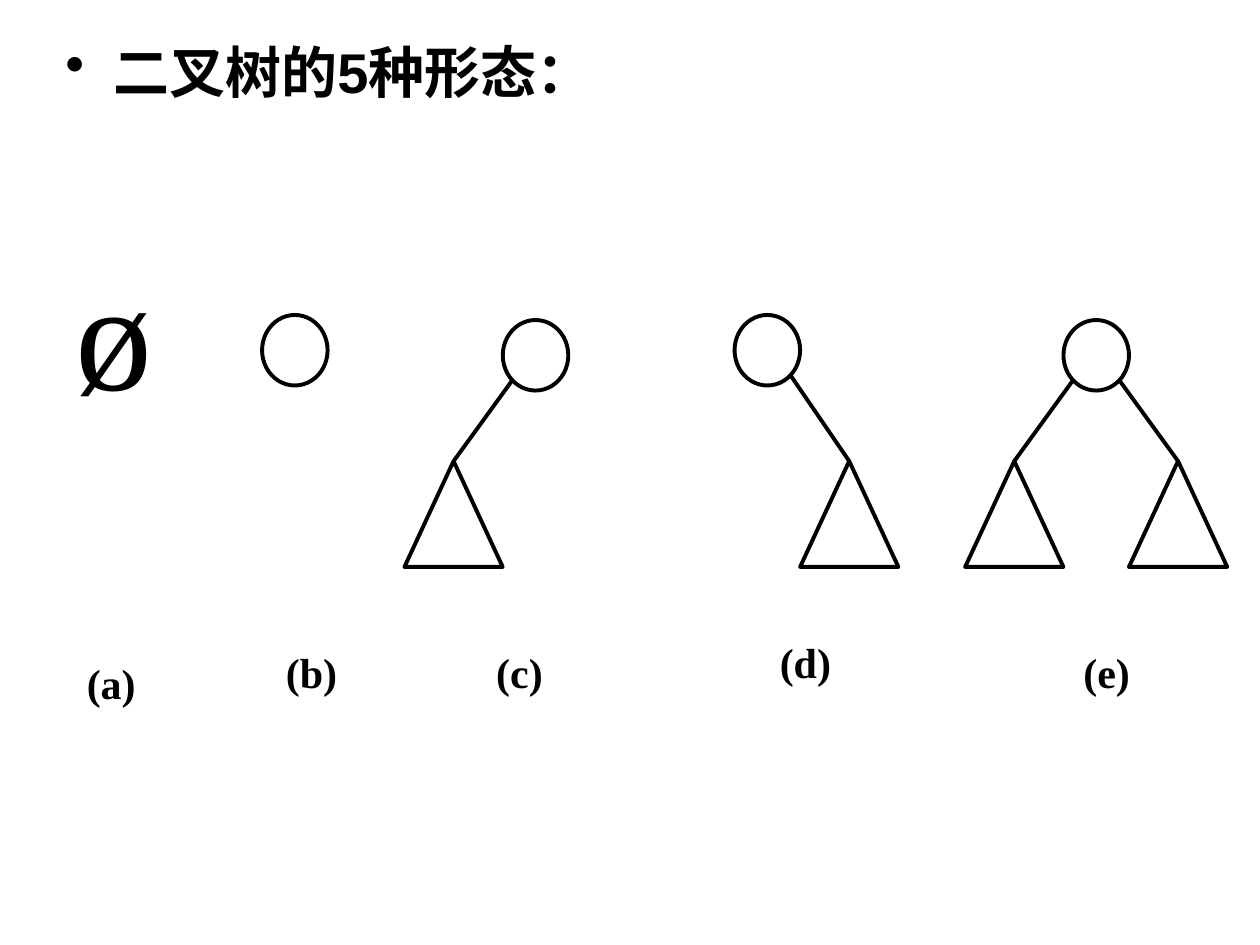
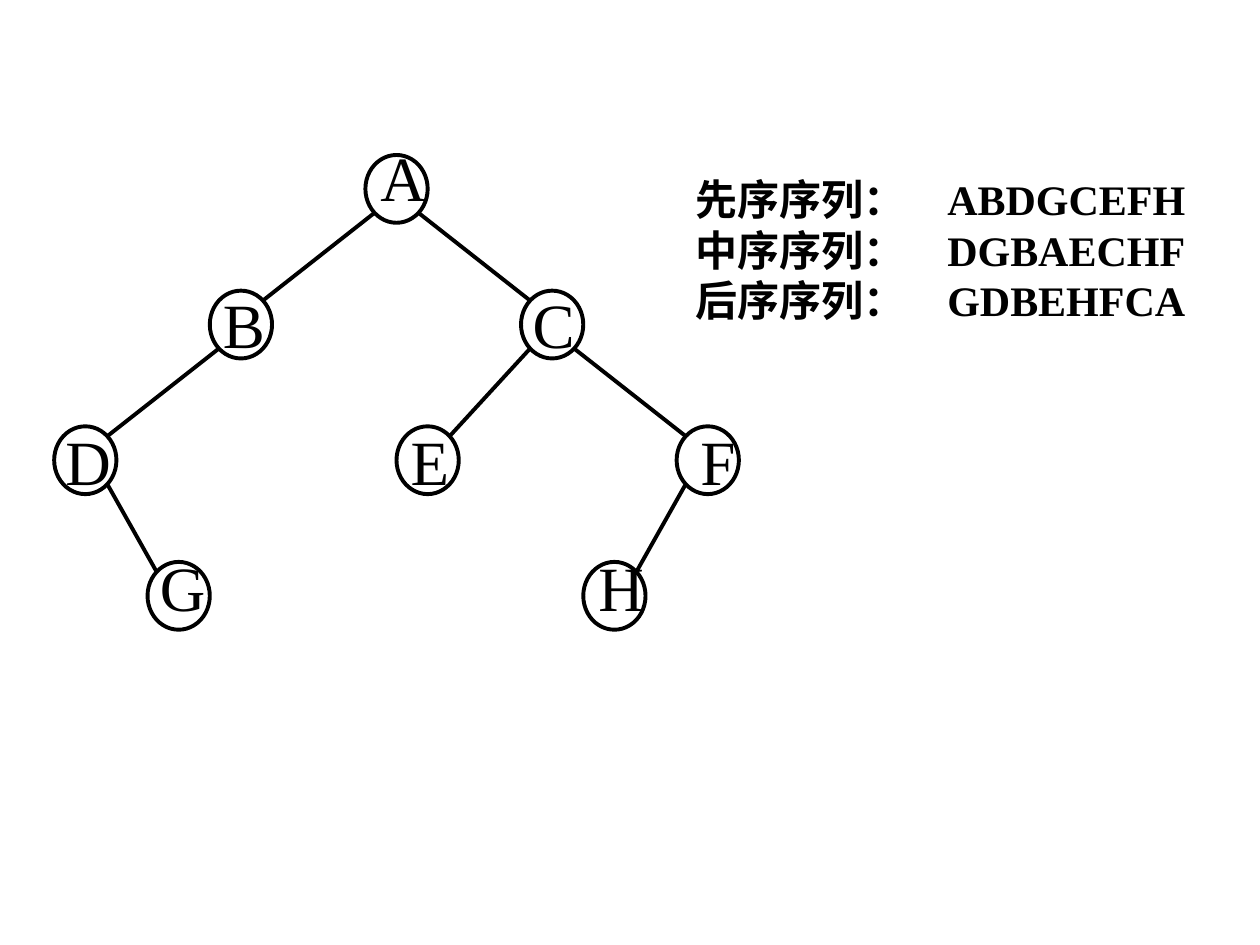
from math import sqrt

from lxml import etree
from pptx import Presentation
from pptx.dml.color import RGBColor
from pptx.enum.shapes import MSO_CONNECTOR, MSO_SHAPE
from pptx.oxml.ns import qn
from pptx.util import Inches, Pt

OVAL, TRIANGLE = MSO_SHAPE.OVAL, MSO_SHAPE.ISOSCELES_TRIANGLE
STRAIGHT = MSO_CONNECTOR.STRAIGHT
BLANK_LAYOUT = 6

COLORS = {"ink": "000000"}
LINE_WIDTH = Pt(2.25)
SERIF, SANS = "Times New Roman", "Arial"
FONTS = {
    "heading": {"name": SANS, "size": Pt(32), "bold": True},
    "empty tree": {"name": SERIF, "size": Pt(88), "bold": False},
    "label": {"name": SERIF, "size": Pt(24), "bold": True},
    "node": {"name": SERIF, "size": Pt(36), "bold": False},
}

# Slide 1: the five forms of a binary tree, in inches
HEADING = "二叉树的5种形态："
EMPTY_TREE = "ø"
LABELS = [  # text, left, top, width
    ("(a)", 0.59, 5.17, 0.59),
    ("(b)", 2.17, 5.08, 0.61),
    ("(c)", 3.84, 5.08, 0.57),
    ("(d)", 6.09, 5.00, 0.61),
    ("(e)", 8.50, 5.08, 0.57),
]
LEFT, RIGHT = -1, 1
ROOTS = [  # left, top, sides that carry a subtree
    (2.08, 2.50, ()),
    (3.99, 2.54, (LEFT,)),
    (5.83, 2.50, (RIGHT,)),
    (8.44, 2.54, (LEFT, RIGHT)),
]
ROOT_WIDTH, ROOT_HEIGHT = 0.52, 0.56
SUBTREE_WIDTH, SUBTREE_HEIGHT, SUBTREE_TOP = 0.78, 0.84, 3.66
SUBTREE_SHIFT = 0.65

# Slide 2: a tree on a grid, with its three traversals
TREE_LEFT, TREE_TOP = 0.43, 1.23
COLUMN, ROW = 4.94 / 20, 3.23 / 3
NODE_WIDTH, NODE_HEIGHT = 2 * COLUMN, ROW / 2
NODES = {  # letter: (column, row)
    "A": (10, 0),
    "B": (5, 1), "C": (15, 1),
    "D": (0, 2), "E": (11, 2), "F": (20, 2),
    "G": (3, 3), "H": (17, 3),
}
EDGES = ["AB", "AC", "BD", "CE", "CF", "DG", "FH"]
LETTER_ROWS = [  # letters, box, tab stops
    ("A", (2.92, 1.17, 1.35, 0.67), ()),
    ("B\tC", (1.67, 2.33, 4.84, 0.67), (2.46,)),
    ("D\tE\tF", (0.42, 3.42, 6.58, 0.67), (2.74, 5.04)),
    ("G\tH", (1.17, 4.42, 5.04, 0.67), (3.48,)),
]
TRAVERSALS = [
    ("先序序列：", "ABDGCEFH"),
    ("中序序列：", "DGBAECHF"),
    ("后序序列：", "GDBEHFCA"),
]


def ink():
    return RGBColor.from_string(COLORS["ink"])


def inches(values):
    return [Inches(value) for value in values]


def set_tab_stops(paragraph, stops):
    tab_list = etree.SubElement(paragraph._p.get_or_add_pPr(), qn("a:tabLst"))
    for stop in stops:
        etree.SubElement(tab_list, qn("a:tab"), pos=str(Inches(stop)), algn="l")


def set_bullet(paragraph, indent):
    properties = paragraph._p.get_or_add_pPr()
    properties.set("marL", str(Inches(indent)))
    properties.set("indent", str(-Inches(indent)))
    etree.SubElement(properties, qn("a:buChar"), char="•")


def add_text(slide, lines, box, font, stops=(), wrap=True, spacing=1.0):
    """Add a text box with one paragraph a line; return its paragraphs."""
    frame = slide.shapes.add_textbox(*inches(box)).text_frame
    frame.word_wrap = wrap
    frame.text = "\n".join(lines)
    for paragraph in frame.paragraphs:
        paragraph.line_spacing = spacing
        if stops:
            set_tab_stops(paragraph, stops)
        for run in paragraph.runs:
            for attribute, value in FONTS[font].items():
                setattr(run.font, attribute, value)
            run.font.color.rgb = ink()
    return frame.paragraphs


def set_outline(shape):
    shape.line.color.rgb = ink()
    shape.line.width = LINE_WIDTH


def add_outlined(slide, kind, box):
    shape = slide.shapes.add_shape(kind, *inches(box))
    shape.shadow.inherit = False
    shape.fill.background()
    set_outline(shape)
    return shape


def add_line(slide, start, end):
    line = slide.shapes.add_connector(STRAIGHT, *inches(start + end))
    set_outline(line)
    etree.SubElement(line._element.spPr, qn("a:effectLst"))
    return line


def rim_point(box, across, down):
    """Return the diagonal point of an ellipse; across and down are -1 or 1."""
    left, top, width, height = box
    return (left + width / 2 * (1 + across / sqrt(2)),
            top + height / 2 * (1 + down / sqrt(2)))


def node_box(letter):
    column, row = NODES[letter]
    return (TREE_LEFT + column * COLUMN, TREE_TOP + row * ROW,
            NODE_WIDTH, NODE_HEIGHT)


def build_forms(slide):
    heading = add_text(slide, [HEADING], (0.42, 0.25, 4.67, 0.67), "heading")[0]
    heading.space_before = Pt(8)
    set_bullet(heading, 0.38)
    add_text(slide, [EMPTY_TREE], (0.5, 1.92, 1.84, 1.39), "empty tree",
             spacing=0.96)
    for left, top, sides in ROOTS:
        root = (left, top, ROOT_WIDTH, ROOT_HEIGHT)
        add_outlined(slide, OVAL, root)
        for side in sides:
            apex = left + ROOT_WIDTH / 2 + side * SUBTREE_SHIFT
            subtree = add_outlined(
                slide, TRIANGLE, (apex - SUBTREE_WIDTH / 2, SUBTREE_TOP,
                                  SUBTREE_WIDTH, SUBTREE_HEIGHT))
            branch = add_line(slide, rim_point(root, side, 1), (apex, SUBTREE_TOP))
            branch.end_connect(subtree, 0)
    for text, left, top, width in LABELS:
        add_text(slide, [text], (left, top, width, 0.5), "label", wrap=False)


def build_traversals(slide):
    for letters, box, stops in LETTER_ROWS:
        add_text(slide, [letters], box, "node", stops, spacing=0.8)
    for letter in NODES:
        add_outlined(slide, OVAL, node_box(letter))
    for parent, child in EDGES:
        side = RIGHT if NODES[child][0] > NODES[parent][0] else LEFT
        add_line(slide, rim_point(node_box(parent), side, 1),
                 rim_point(node_box(child), -side, -1))
    add_text(slide, ["\t".join(pair) for pair in TRAVERSALS],
             (5.42, 1.33, 4.2, 1.7), "label", stops=(2,))


def main():
    presentation = Presentation()
    presentation.slide_width, presentation.slide_height = inches((10, 7.5))
    for build in (build_forms, build_traversals):
        build(presentation.slides.add_slide(
            presentation.slide_layouts[BLANK_LAYOUT]))
    presentation.save("out.pptx")


if __name__ == "__main__":
    main()
